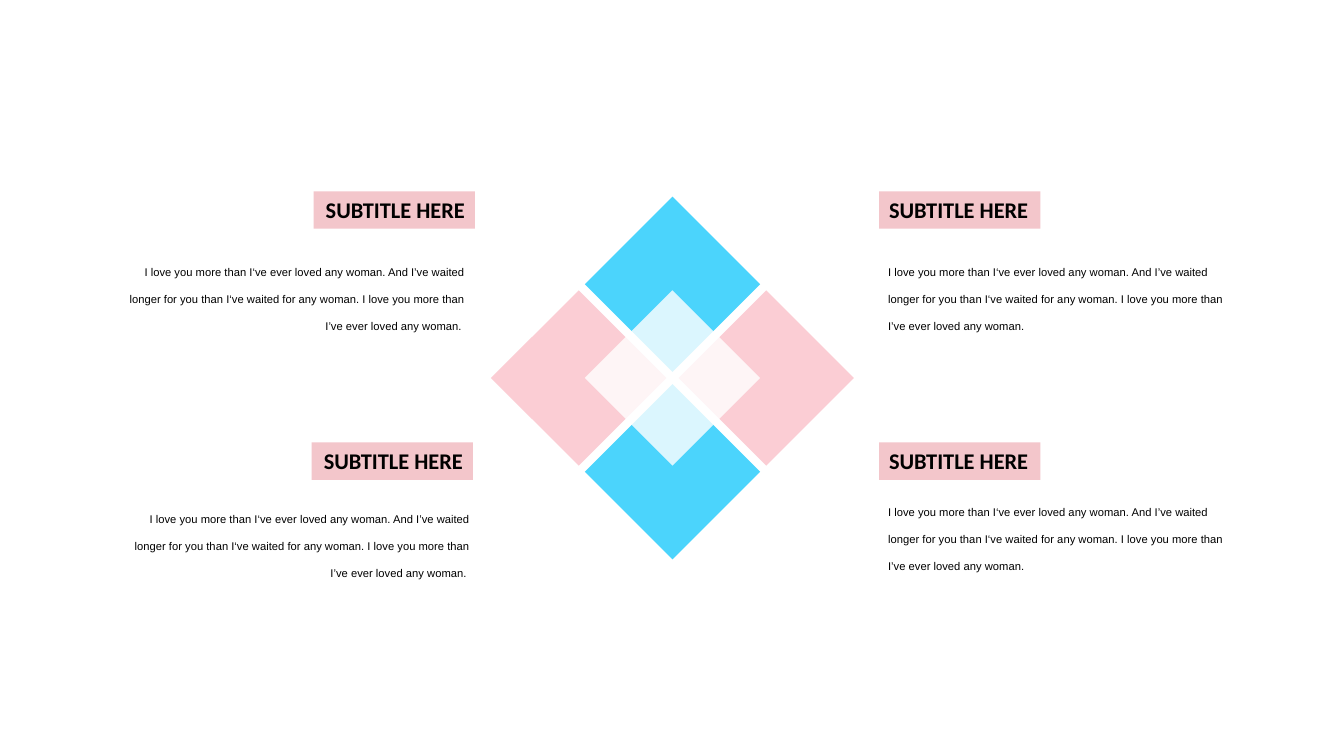
"""Build a slide with a four-part diamond and four captioned texts."""
from lxml.etree import SubElement
from pptx import Presentation
from pptx.dml.color import RGBColor
from pptx.enum.shapes import MSO_SHAPE
from pptx.enum.text import MSO_ANCHOR, MSO_AUTO_SIZE, PP_ALIGN
from pptx.oxml.ns import qn
from pptx.util import Inches, Pt

BLUE, PINK, LABEL_PINK = "4BD4FC", "FBCDD4", "F3C6CB"
WHITE, BLACK = "FFFFFF", "000000"
SUBTITLE = "SUBTITLE HERE"
BODY = (
    "I love you more than I‘ve ever loved any woman. And I’ve waited "
    "longer for you than I‘ve waited for any woman. "
    "I love you more than I’ve ever loved any woman."
)
LEFT, RIGHT = PP_ALIGN.LEFT, PP_ALIGN.RIGHT
CAPTIONS = [
    {"label": (3.11, 1.9), "body": (1, 2.45), "align": RIGHT, "text": BODY + " "},
    {"label": (3.09, 4.39), "body": (1.05, 4.9), "align": RIGHT, "text": BODY + " "},
    {"label": (8.72, 1.9), "body": (8.71, 2.45), "align": LEFT, "text": BODY},
    {"label": (8.72, 4.39), "body": (8.71, 4.83), "align": LEFT, "text": BODY},
]
LABEL_SIZE, BODY_SIZE = (1.6, 0.37), (3.71, 0.86)
CENTER_X, CENTER_Y = 6.67, 3.75
SQUARE, STEP, OVERLAY = 1.23, 0.93, 1.74
SQUARES = [(-1, 0, PINK), (0, 1, BLUE), (0, -1, BLUE), (1, 0, PINK)]


def color(hex_value):
    return RGBColor.from_string(hex_value)


def add_filled(page, kind, left, top, width, height, fill):
    shape = page.shapes.add_shape(
        kind, Inches(left), Inches(top), Inches(width), Inches(height)
    )
    shape.shadow.inherit = False
    shape.fill.solid()
    shape.fill.fore_color.rgb = color(fill)
    shape.line.fill.background()
    return shape


def add_centered(page, kind, x, y, size, fill):
    return add_filled(page, kind, x - size / 2, y - size / 2, size, size, fill)


def write(box, text, align, font_name, size, bold=False, wrap=True, spacing=None):
    frame = box.text_frame
    frame.word_wrap = wrap
    frame.auto_size = MSO_AUTO_SIZE.SHAPE_TO_FIT_TEXT
    frame.vertical_anchor = MSO_ANCHOR.TOP
    para = frame.paragraphs[0]
    para.text = text
    para.alignment = align
    para.line_spacing = spacing
    para.font.name = font_name
    para.font.size = Pt(size)
    para.font.bold = bold
    para.font.color.rgb = color(BLACK)


def add_diamond(page):
    for column, row, fill in SQUARES:
        square = add_centered(
            page, MSO_SHAPE.RECTANGLE,
            CENTER_X + column * STEP, CENTER_Y + row * STEP, SQUARE, fill,
        )
        square.rotation = 315
    overlay = add_centered(page, MSO_SHAPE.DIAMOND, CENTER_X, CENTER_Y, OVERLAY, WHITE)
    fill_color = overlay.fill._xPr.find(qn("a:solidFill"))[0]
    SubElement(fill_color, qn("a:alpha")).set("val", "80000")


def add_caption(page, caption):
    label = add_filled(
        page, MSO_SHAPE.RECTANGLE, *caption["label"], *LABEL_SIZE, LABEL_PINK
    )
    write(label, SUBTITLE, caption["align"], "Calibri", 16, bold=True, wrap=False)
    body = page.shapes.add_textbox(
        *[Inches(value) for value in (*caption["body"], *BODY_SIZE)]
    )
    write(body, caption["text"], caption["align"], "Arial", 8, spacing=2.0)


def main():
    deck = Presentation()
    deck.slide_width, deck.slide_height = Inches(13.33), Inches(7.5)
    page = deck.slides.add_slide(deck.slide_layouts[6])
    add_diamond(page)
    for caption in CAPTIONS:
        add_caption(page, caption)
    deck.save("out.pptx")


if __name__ == "__main__":
    main()
